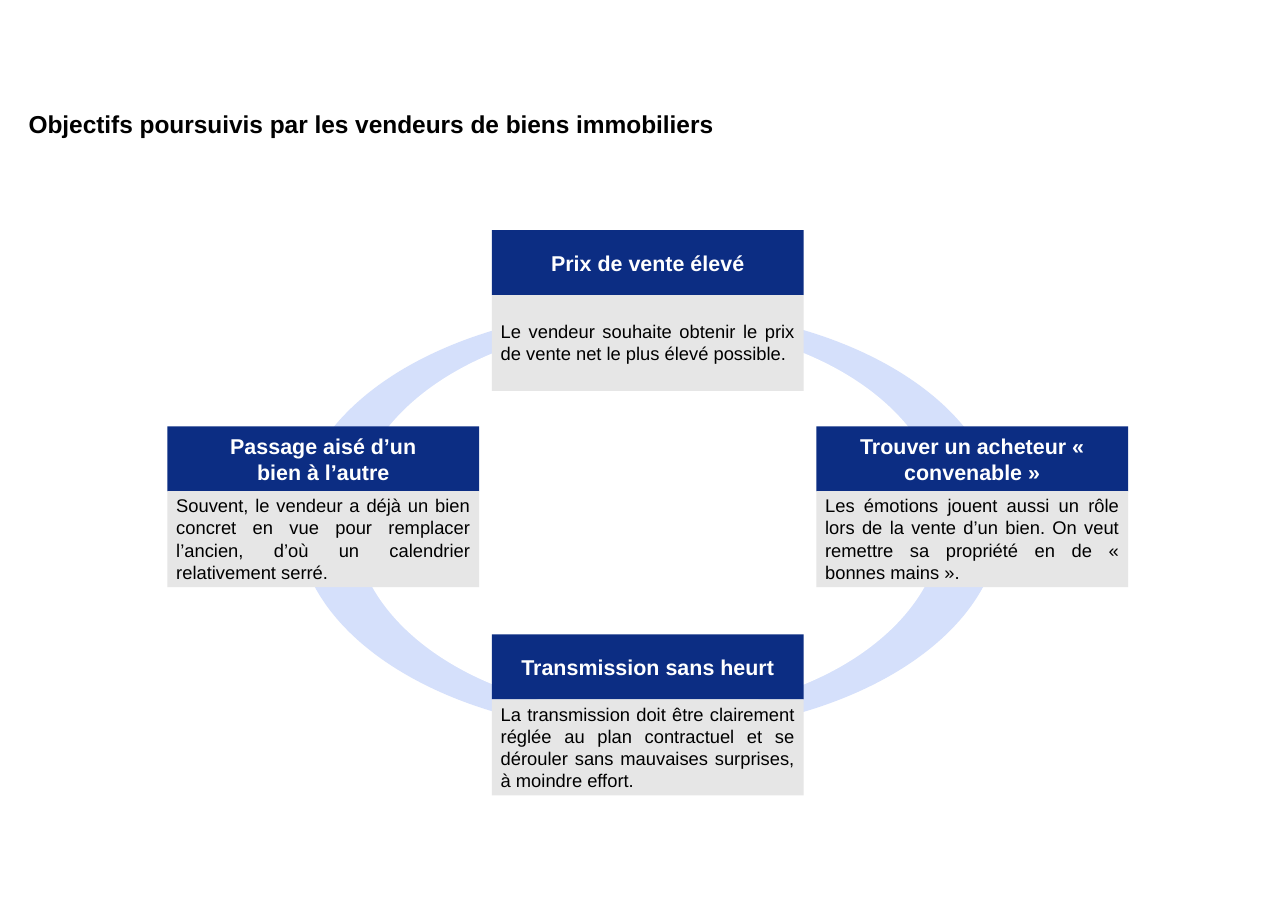
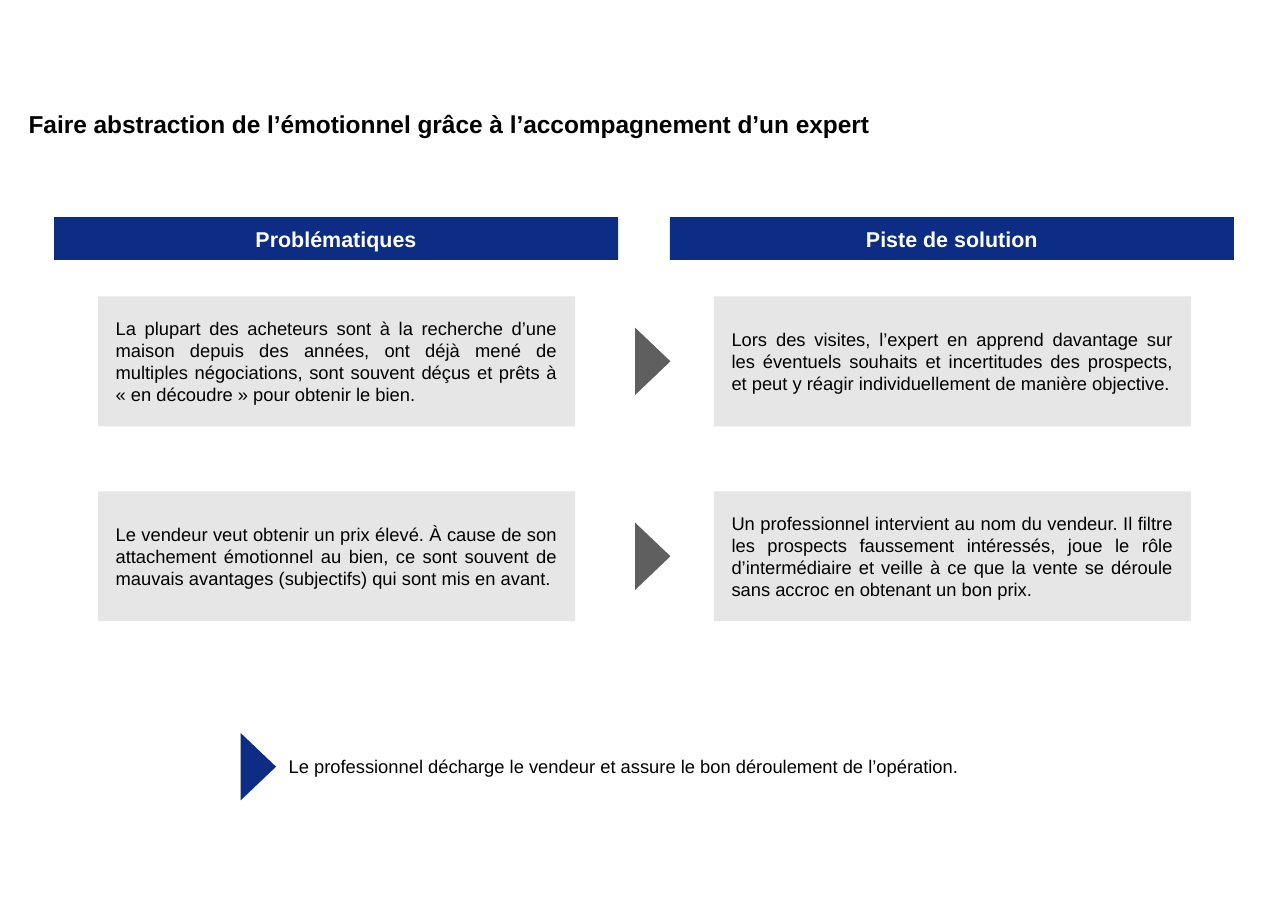
from dataclasses import dataclass

from pptx import Presentation
from pptx.dml.color import RGBColor
from pptx.enum.shapes import MSO_SHAPE as Shape
from pptx.enum.text import MSO_ANCHOR as Anchor, PP_ALIGN as Align
from pptx.shapes.autoshape import Shape as AutoShape
from pptx.slide import Slide
from pptx.util import Inches, Pt


@dataclass(frozen=True)
class Theme:
    font: str = "Arial"
    navy: str = "0C2D83"
    pale_blue: str = "D5E0FB"
    light_grey: str = "E6E6E6"
    dark_grey: str = "5F5F5F"
    white: str = "FFFFFF"
    black: str = "000000"
    title_size: int = 16
    header_size: int = 14
    body_size: int = 12


@dataclass(frozen=True)
class Box:
    left: float
    top: float
    width: float
    height: float

    def lengths(self) -> tuple[Inches, ...]:
        return tuple(Inches(v) for v in (self.left, self.top, self.width, self.height))


@dataclass(frozen=True)
class TextStyle:
    size: int
    color: str = "000000"
    bold: bool = False
    align: Align = Align.LEFT
    anchor: Anchor = Anchor.MIDDLE
    insets: tuple[float, float, float, float] = (0, 0, 0, 0)
    space_before: int = 0


@dataclass(frozen=True)
class Goal:
    column: int
    top: float
    header: str
    body: str
    header_space: int = 3


@dataclass(frozen=True)
class Column:
    left: float
    header: str
    bodies: tuple[str, ...]


THEME = Theme()
TITLE = TextStyle(THEME.title_size, THEME.black, bold=True, anchor=Anchor.BOTTOM)
NOTE = TextStyle(THEME.body_size, THEME.black)

GOALS = (
    Goal(1, 2.09, "Prix de vente élevé",
         "Le vendeur souhaite obtenir le prix de vente net le plus élevé possible."),
    Goal(2, 3.87, "Trouver un acheteur « convenable »",
         "Les émotions jouent aussi un rôle lors de la vente d’un bien. On veut "
         "remettre sa propriété en de « bonnes mains »."),
    Goal(0, 3.87, "Passage aisé d’un\nbien à l’autre",
         "Souvent, le vendeur a déjà un bien concret en vue pour remplacer l’ancien, "
         "d’où un calendrier relativement serré.", header_space=0),
    Goal(1, 5.76, "Transmission sans heurt",
         "La transmission doit être clairement réglée au plan contractuel et se "
         "dérouler sans mauvaises surprises, à moindre effort."),
)

COLUMNS = (
    Column(0.49, "Problématiques", (
        "La plupart des acheteurs sont à la recherche d’une maison depuis des années, "
        "ont déjà mené de multiples négociations, sont souvent déçus et prêts à "
        "« en découdre » pour obtenir le bien.",
        "Le vendeur veut obtenir un prix élevé. À cause de son attachement émotionnel "
        "au bien, ce sont souvent de mauvais avantages (subjectifs) qui sont mis en avant.",
    )),
    Column(6.08, "Piste de solution", (
        "Lors des visites, l’expert en apprend davantage sur les éventuels souhaits et "
        "incertitudes des prospects, et peut y réagir individuellement de manière objective.",
        "Un professionnel intervient au nom du vendeur. Il filtre les prospects "
        "faussement intéressés, joue le rôle d’intermédiaire et veille à ce que la vente "
        "se déroule sans accroc en obtenant un bon prix.",
    )),
)


def write(sp: AutoShape, text: str, style: TextStyle) -> None:
    """Fill a shape with one paragraph per line of text."""
    tf = sp.text_frame
    tf.word_wrap = True
    tf.vertical_anchor = style.anchor
    tf.margin_left, tf.margin_top, tf.margin_right, tf.margin_bottom = map(Inches, style.insets)
    tf.text = text
    for p in tf.paragraphs:
        p.alignment = style.align
        p.space_before = Pt(style.space_before)
        p.font.name = THEME.font
        p.font.size = Pt(style.size)
        p.font.bold = style.bold
        p.font.color.rgb = RGBColor.from_string(style.color)


def add_text(s: Slide, box: Box, text: str, style: TextStyle) -> None:
    write(s.shapes.add_textbox(*box.lengths()), text, style)


def add_filled(s: Slide, kind: Shape, box: Box, color: str) -> AutoShape:
    sp = s.shapes.add_shape(kind, *box.lengths())
    sp.shadow.inherit = False
    sp.fill.solid()
    sp.fill.fore_color.rgb = RGBColor.from_string(color)
    sp.line.fill.background()
    return sp


def add_header(s: Slide, box: Box, text: str, space_before: int = 0) -> None:
    style = TextStyle(THEME.header_size, THEME.white, bold=True, align=Align.CENTER,
                      insets=(0.1, 0.05, 0.1, 0.05), space_before=space_before)
    write(add_filled(s, Shape.RECTANGLE, box, THEME.navy), text, style)


def add_body(s: Slide, box: Box, text: str, side: float, top: float = 0.05,
             space_before: int = 0) -> None:
    style = TextStyle(THEME.body_size, THEME.black, align=Align.JUSTIFY,
                      insets=(side, top, side, 0.05), space_before=space_before)
    write(add_filled(s, Shape.RECTANGLE, box, THEME.light_grey), text, style)


def add_pointer(s: Slide, left: float, top: float, color: str) -> None:
    """Draw a triangle that points to the right."""
    sp = add_filled(s, Shape.ISOSCELES_TRIANGLE, Box(left, top, 0.61, 0.32), color)
    sp.rotation = 90


def add_titled_slide(prs: Presentation, title: str) -> Slide:
    s = prs.slides.add_slide(prs.slide_layouts[6])
    add_text(s, Box(0.26, 0.59, 10.67, 0.67), title, TITLE)
    return s


def build_goals(prs: Presentation) -> None:
    s = add_titled_slide(prs, "Objectifs poursuivis par les vendeurs de biens immobiliers")
    add_filled(s, Shape.OVAL, Box(2.7, 2.8, 6.38, 3.86), THEME.pale_blue)
    add_filled(s, Shape.OVAL, Box(3.21, 2.94, 5.35, 3.54), THEME.white)

    first_left, pitch, width = 1.52, 2.945, 2.83
    header_height, body_height = 0.59, 0.87
    for goal in GOALS:
        left = first_left + goal.column * pitch
        add_header(s, Box(left, goal.top, width, header_height), goal.header, goal.header_space)
        add_body(s, Box(left, goal.top + header_height, width, body_height), goal.body,
                 side=0.08, top=0.04, space_before=3)


def build_solutions(prs: Presentation) -> None:
    s = add_titled_slide(
        prs, "Faire abstraction de l’émotionnel grâce à l’accompagnement d’un expert")
    row_tops, indent = (2.69, 4.46), 0.4
    for column in COLUMNS:
        add_header(s, Box(column.left, 1.97, 5.12, 0.39), column.header)
        for top, body in zip(row_tops, column.bodies):
            add_body(s, Box(column.left + indent, top, 4.33, 1.18), body, side=0.16)
    for top in row_tops:
        add_pointer(s, 5.62, top + 0.43, THEME.dark_grey)

    add_pointer(s, 2.04, 6.8, THEME.navy)
    add_text(s, Box(2.62, 6.76, 7.06, 0.39),
             "Le professionnel décharge le vendeur et assure le bon déroulement de l’opération.",
             NOTE)


def main() -> None:
    prs = Presentation()
    prs.slide_width, prs.slide_height = Inches(11.69), Inches(8.27)
    build_goals(prs)
    build_solutions(prs)
    prs.save("out.pptx")


if __name__ == "__main__":
    main()
